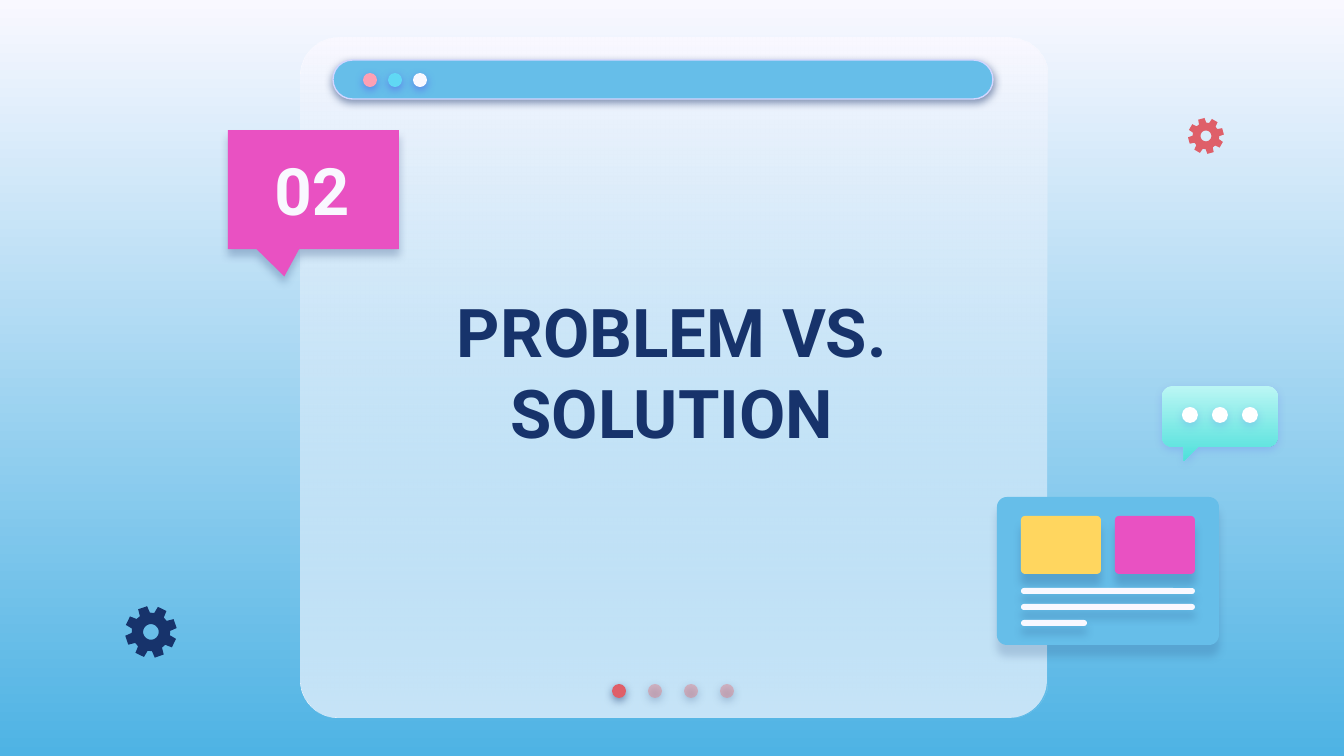
from dataclasses import dataclass
from math import cos, radians, sin
from typing import NamedTuple, Optional

from lxml import etree
from pptx import Presentation
from pptx.dml.color import RGBColor
from pptx.enum import shapes, text
from pptx.oxml.ns import qn
from pptx import util as u

PX = u.Inches(10) / 1344  # EMU per px
FONT = "Roboto"

NAVY = RGBColor(0x17, 0x33, 0x6B)
INDIGO = RGBColor(0x53, 0x52, 0xEE)
PAPER = RGBColor(0xF9, 0xF8, 0xFF)
WHITE = RGBColor(0xFF, 0xFF, 0xFF)
SKY = RGBColor(0x66, 0xBE, 0xE9)
DEEP_SKY = RGBColor(0x4E, 0xB3, 0xE4)
LILAC = RGBColor(0xD2, 0xD6, 0xFF)
RED = RGBColor(0xDF, 0x5F, 0x69)
SOFT_RED = RGBColor(0xE2, 0x7B, 0x83)
ROSE = RGBColor(0xFD, 0xA0, 0xB4)
CYAN = RGBColor(0x60, 0xD8, 0xF4)
PINK = RGBColor(0xE9, 0x51, 0xC2)
YELLOW = RGBColor(0xFF, 0xD6, 0x5F)
MINT = RGBColor(0xBB, 0xF6, 0xF4)
TEAL = RGBColor(0x4E, 0xE0, 0xDB)


class Shadow(NamedTuple):
    color: RGBColor
    alpha: int  # percent
    dist: float  # points, straight down


@dataclass
class Box:
    x: int
    y: int
    w: int
    h: int
    fill: RGBColor
    shadow: Optional[Shadow] = None
    radius: int = 0
    to: Optional[RGBColor] = None  # lower gradient colour
    alpha: int = 100  # opacity of the last colour, percent


@dataclass
class Gear:
    cx: int
    cy: int
    r: int
    turn: int  # degrees of the first tooth from the top
    fill: RGBColor


def px(n: float) -> int:
    return round(n * PX)


def set_gradient(fill, top: RGBColor, bottom: RGBColor) -> None:
    fill.gradient()
    fill.gradient_angle = 270
    for stop, color, pos in zip(fill.gradient_stops, (top, bottom), (0, 1)):
        stop.color.rgb, stop.position = color, pos


def set_alpha(clr, percent: int) -> None:
    etree.SubElement(clr, qn("a:alpha"), val=str(percent * 1000))


def style(sp, fill: RGBColor, shadow: Optional[Shadow] = None,
          to: Optional[RGBColor] = None, alpha: int = 100) -> None:
    if to is None:
        sp.fill.solid()
        sp.fill.fore_color.rgb = fill
    else:
        set_gradient(sp.fill, fill, to)
    if alpha < 100:
        set_alpha(list(sp._element.spPr.iter(qn("a:srgbClr")))[-1], alpha)
    sp.line.fill.background()
    sp.shadow.inherit = False
    if shadow:
        effects = sp._element.spPr.find(qn("a:effectLst"))
        outer = etree.SubElement(
            effects, qn("a:outerShdw"), blurRad=str(u.Pt(4.5)),
            dist=str(u.Pt(shadow.dist)), dir="5400000", algn="bl", rotWithShape="0")
        set_alpha(etree.SubElement(outer, qn("a:srgbClr"), val=str(shadow.color)),
                  shadow.alpha)


def draw_box(s, b: Box, kind=shapes.MSO_SHAPE.ROUNDED_RECTANGLE):
    sp = s.shapes.add_shape(kind, px(b.x), px(b.y), px(b.w), px(b.h))
    if b.radius:
        sp.adjustments[0] = b.radius / min(b.w, b.h)
    style(sp, b.fill, b.shadow, b.to, b.alpha)
    return sp


def draw_dot(s, x: int, y: int, d: int, fill: RGBColor, shadow: Shadow,
             alpha: int = 100) -> None:
    draw_box(s, Box(x, y, d, d, fill, shadow, alpha=alpha), shapes.MSO_SHAPE.OVAL)


def draw_outline(s, *contours):
    emu = [[(px(x), px(y)) for x, y in c] for c in contours]
    builder = s.shapes.build_freeform(*emu[0][0], scale=1.0)
    builder.add_line_segments(emu[0][1:], close=True)
    for c in emu[1:]:
        builder.move_to(*c[0])
        builder.add_line_segments(c[1:], close=True)
    return builder.convert_to_shape()


def polar(cx: float, cy: float, r: float, degrees: float) -> tuple[float, float]:
    """Point at an angle measured clockwise from the top."""
    return cx + r * sin(radians(degrees)), cy - r * cos(radians(degrees))


def draw_gear(s, g: Gear) -> None:
    teeth = [polar(g.cx, g.cy, g.r * k, g.turn + 45 * i + a)
             for i in range(8)
             for k, a in ((0.74, -16), (1, -10.5), (1, 10.5), (0.74, 16))]
    hole = [polar(g.cx, g.cy, g.r * 0.3, -a) for a in range(0, 360, 10)]
    style(draw_outline(s, teeth, hole), g.fill)


def draw_bubble(s, b: Box) -> None:
    r, right, bottom = b.radius, b.x + b.w, b.y + b.h
    corners = ((b.x + r, b.y + r, 270), (right - r, b.y + r, 0),
               (right - r, bottom - r, 90), (b.x + r, bottom - r, 180))
    arcs = [[polar(cx, cy, r, start + a) for a in range(0, 91, 10)]
            for cx, cy, start in corners]
    tail = [(b.x + 36, bottom), (b.x + 22, bottom + 14), (b.x + 22, bottom)]
    outline = arcs[0] + arcs[1] + arcs[2] + tail + arcs[3]
    style(draw_outline(s, outline), b.fill, b.shadow, b.to)


def draw_text(s, x: int, y: int, w: int, h: int, words: str, size: int,
              color: RGBColor, anchor) -> None:
    tf = s.shapes.add_textbox(px(x), px(y), px(w), px(h)).text_frame
    tf.word_wrap = True
    tf.vertical_anchor = anchor
    tf.margin_left = tf.margin_right = tf.margin_top = tf.margin_bottom = u.Inches(0.1)
    p = tf.paragraphs[0]
    p.text = words
    p.alignment = text.PP_ALIGN.CENTER
    p.font.name, p.font.size, p.font.bold = FONT, u.Pt(size), True
    p.font.color.rgb = color


NAVY_GLOW = Shadow(NAVY, 50, 1.5)
INDIGO_GLOW = Shadow(INDIGO, 50, 1.5)
BUBBLE_GLOW = Shadow(INDIGO, 18, 1.5)
TILE_SHADOW = Shadow(NAVY, 20, 6)
LINE_SHADOW = Shadow(NAVY, 21, 4.5)


def main() -> None:
    prs = Presentation()
    prs.slide_width, prs.slide_height = px(1344), px(756)
    s = prs.slides.add_slide(prs.slide_layouts[6])
    set_gradient(s.background.fill, PAPER, DEEP_SKY)

    # Window panel with page dots
    draw_box(s, Box(300, 38, 747, 680, PAPER, radius=38))
    draw_box(s, Box(300, 38, 747, 680, PAPER, radius=38, to=SKY, alpha=34))
    for i in range(4):
        fill, alpha = (SOFT_RED, 44) if i else (RED, 100)
        draw_dot(s, 612 + 36 * i, 684, 14, fill, NAVY_GLOW, alpha)

    # Window title bar with buttons
    bar = draw_box(s, Box(333, 60, 660, 39, SKY, NAVY_GLOW, radius=20))
    bar.line.color.rgb, bar.line.width = LILAC, u.Pt(0.75)
    for i, fill in enumerate((ROSE, CYAN, PAPER)):
        draw_dot(s, 363 + 25 * i, 73, 14, fill, INDIGO_GLOW)

    # Section number callout and title
    callout = draw_box(s, Box(228, 130, 171, 119, PINK, Shadow(NAVY, 25, 3.8)),
                       shapes.MSO_SHAPE.ROUNDED_RECTANGULAR_CALLOUT)
    for i, value in enumerate((-0.17, 0.73, 0)):
        callout.adjustments[i] = value
    draw_text(s, 363, 249, 618, 245, "PROBLEM VS. SOLUTION", 36, NAVY,
              text.MSO_ANCHOR.MIDDLE)
    draw_text(s, 241, 137, 142, 105, "02", 35, PAPER, text.MSO_ANCHOR.BOTTOM)

    # Small page card
    draw_box(s, Box(997, 497, 222, 148, SKY, Shadow(NAVY, 17, 6), radius=10))
    for i, fill in enumerate((YELLOW, PINK)):
        draw_box(s, Box(1021 + 94 * i, 516, 80, 58, fill, TILE_SHADOW, radius=4))
    for i, width in enumerate((174, 174, 66)):
        draw_box(s, Box(1021, 588 + 16 * i, width, 6, PAPER, LINE_SHADOW, radius=3))

    # Chat bubble
    draw_bubble(s, Box(1162, 386, 116, 61, MINT, BUBBLE_GLOW, radius=11, to=TEAL))
    for i in range(3):
        draw_dot(s, 1182 + 30 * i, 407, 16, WHITE, BUBBLE_GLOW)

    # Gears
    draw_gear(s, Gear(151, 632, 26, -19, NAVY))
    draw_gear(s, Gear(1206, 136, 18, -15, RED))

    prs.save("out.pptx")


if __name__ == "__main__":
    main()
